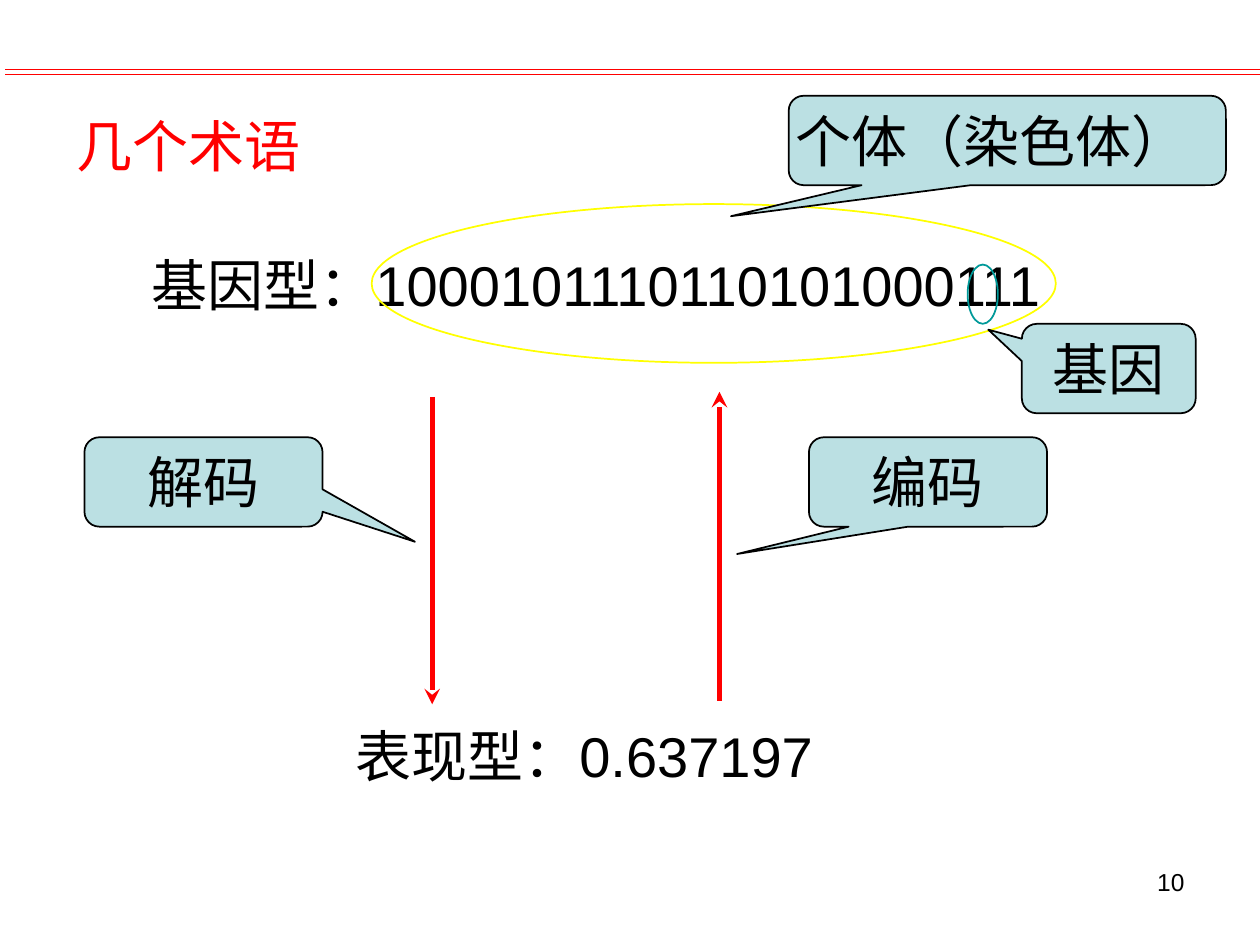
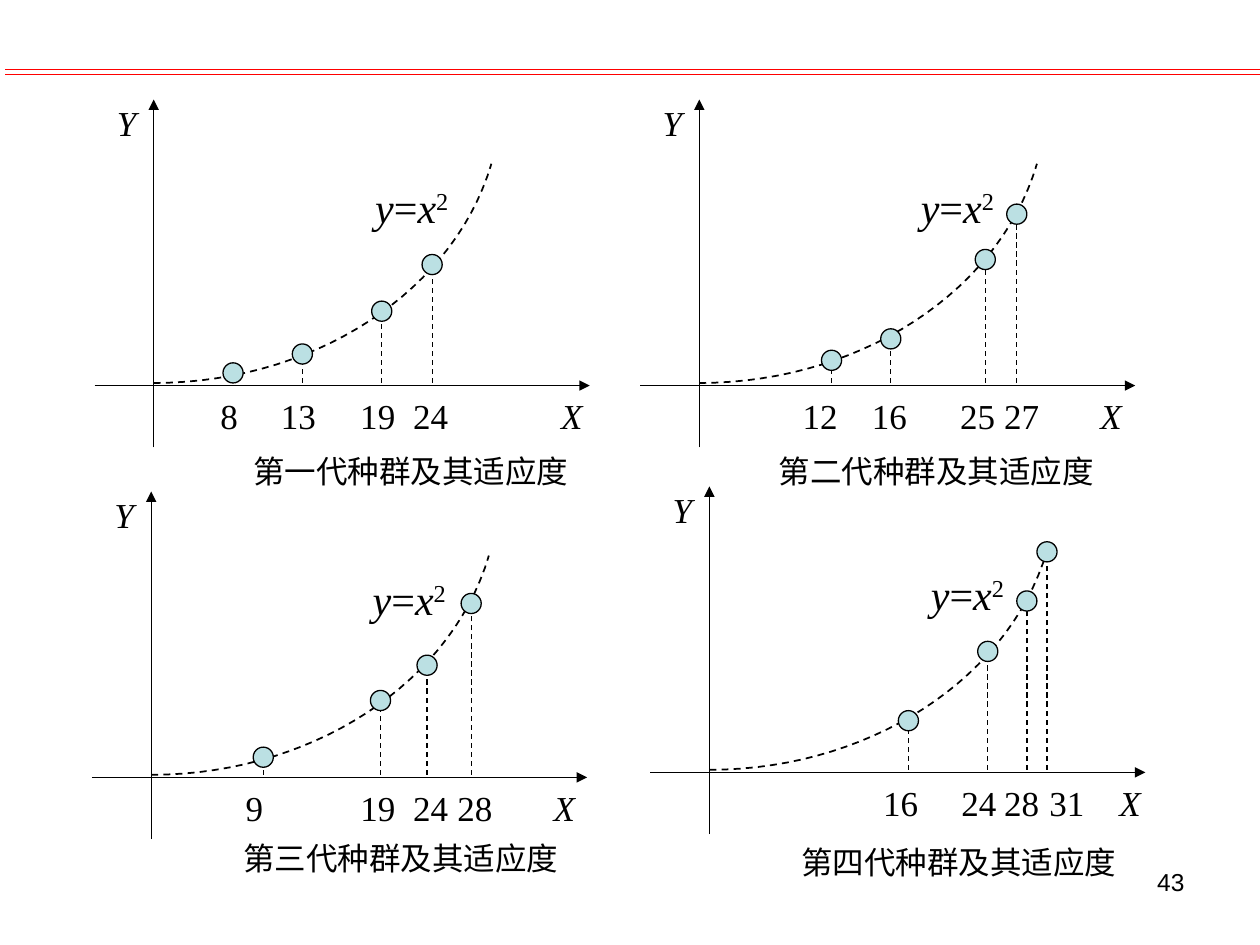
from lxml import etree
from pptx import Presentation
from pptx.dml.color import RGBColor
from pptx.enum.dml import MSO_LINE
from pptx.enum.shapes import MSO_CONNECTOR, MSO_SHAPE
from pptx.enum.text import MSO_ANCHOR, MSO_AUTO_SIZE, PP_ALIGN
from pptx.oxml.ns import qn
from pptx.util import Inches, Pt

STRAIGHT = MSO_CONNECTOR.STRAIGHT
OVAL, CALLOUT = MSO_SHAPE.OVAL, MSO_SHAPE.ROUNDED_RECTANGULAR_CALLOUT
LEFT, CENTER, RIGHT = PP_ALIGN.LEFT, PP_ALIGN.CENTER, PP_ALIGN.RIGHT
TOP, MIDDLE = MSO_ANCHOR.TOP, MSO_ANCHOR.MIDDLE
DASH = MSO_LINE.DASH

# Shared look
RED, BLACK, PALE, YELLOW, TEAL = "FF0000", "000000", "BBE0E3", "FFFF00", "009999"
SANS, SERIF, HAN = "Arial", "Times New Roman", "Noto Sans CJK SC"

# The slide is a grid of 100 columns by 75 square rows
WIDTH, HEIGHT = Inches(10), Inches(7.5)
CELL = WIDTH // 100


def grid(*cells):
    return [round(cell * CELL) for cell in cells]


def ink(value):
    return RGBColor.from_string(value)


def add_span(para, text, size, font=SANS, color=BLACK, italic=False, raised=False):
    span = para.add_run()
    span.text = text
    span.font.size = Pt(size)
    span.font.name = font
    span.font.italic = italic
    span.font.color.rgb = ink(color)
    props = span._r.get_or_add_rPr()
    etree.SubElement(props, qn("a:ea")).set("typeface", HAN)
    if raised:
        props.set("baseline", "30000")


def open_frame(shape, align=LEFT, anchor=TOP, insets=(1, 0.5)):
    """Prepare the text frame and return its first paragraph."""
    frame = shape.text_frame
    frame.word_wrap = True
    frame.auto_size = MSO_AUTO_SIZE.NONE
    frame.vertical_anchor = anchor
    side, edge = grid(*insets)
    frame.margin_left = frame.margin_right = side
    frame.margin_top = frame.margin_bottom = edge
    para = frame.paragraphs[0]
    para.alignment = align
    return para


def add_label(canvas, box, text, size, align=LEFT, insets=(1, 0.5), **style):
    label = canvas.add_textbox(*grid(*box))
    add_span(open_frame(label, align, insets=insets), text, size, **style)


def add_line(canvas, start, end, color=BLACK, weight=0.75, dash=None, arrow=None):
    line = canvas.add_connector(STRAIGHT, *grid(*start, *end))
    line.line.color.rgb = ink(color)
    line.line.width = Pt(weight)
    if dash:
        line.line.dash_style = dash
    props = line.element.spPr
    if arrow:
        etree.SubElement(props.find(qn("a:ln")), qn("a:tailEnd")).set("type", arrow)
    etree.SubElement(props, qn("a:effectLst"))
    return line


def outline(shape, color=BLACK, weight=1, fill=None):
    shape.shadow.inherit = False
    if fill:
        shape.fill.solid()
        shape.fill.fore_color.rgb = ink(fill)
    else:
        shape.fill.background()
    shape.line.color.rgb = ink(color)
    shape.line.width = Pt(weight)


def add_oval(canvas, box, **style):
    outline(canvas.add_shape(OVAL, *grid(*box)), **style)


def add_callout(page, box, pointer, text, align=CENTER, insets=(1, 0.5)):
    bubble = page.shapes.add_shape(CALLOUT, *grid(*box))
    for index, value in enumerate((*pointer, 0.167)):
        bubble.adjustments[index] = value
    outline(bubble, fill=PALE)
    add_span(open_frame(bubble, align, insets=insets), text, 32, SERIF)


def move(shape, box):
    shape.left, shape.top, shape.width, shape.height = grid(*box)


# Double red rule, kept on the slide master
def add_master_rule(deck, page):
    for number, row in enumerate((5.5, 5.9)):
        rule = add_line(page.shapes, (0.4, row), (100.4, row), RED)
        rule.element.nvCxnSpPr.cNvPr.set("id", str(100 + number))
        deck.slide_master.shapes.element.append(rule.element)


def add_page_number(page, number):
    add_label(page.shapes, (71.7, 68.3, 23.3, 5.2), number, 14, RIGHT)


# Terms: genotype, phenotype and the steps between them
def fill_terms_page(page):
    title, body = page.shapes.title, page.placeholders[1]
    move(title, (5.1, 7.6, 82.8, 7.9))
    add_span(open_frame(title, anchor=MIDDLE), "几个术语", 32, HAN, RED)

    move(body, (11, 19.4, 74, 10.3))
    genotype = open_frame(body)
    etree.SubElement(genotype._p.get_or_add_pPr(), qn("a:buNone"))
    add_span(genotype, "基因型：1000101110110101000111", 32)
    add_label(page.shapes, (27.2, 56.8, 41.7, 9.5), "表现型：0.637197", 32)

    # Decoding and encoding arrows
    for column, start, end in ((34.3, 31.5, 55.9), (57.1, 55.6, 31.1)):
        add_line(page.shapes, (column, start), (column, end), RED, 3, arrow="stealth")
    add_callout(page, (80.84 - 0.04 - 16.6, 34.7, 18.9, 7.1), (-0.802, 0.806), "编码")
    add_callout(page, (6.7, 34.7, 18.9, 7.1), (0.888, 0.669), "解码")

    # Chromosome and gene marks
    add_oval(page.shapes, (29.5, 16.2, 54.3, 12.6), color=YELLOW)
    add_callout(page, (62.6, 7.6, 34.7, 7.1), (-0.632, 0.847),
                "个体（染色体）", LEFT, (0.2, 0.5))
    add_oval(page.shapes, (76.8, 21, 2.4, 4.7), color=TEAL)
    add_callout(page, (81.1, 25.7, 13.8, 7.1), (-0.693, -0.434), "基因")


# Plot parts, in cells from the plot's top left corner
AXIS_X, AXIS_Y = 4.7, 22.7
PLOT_WIDTH, PLOT_HEIGHT = 39.3, 27.6
BASE = 22.5
CURVE = ((AXIS_X, BASE), (17.4, BASE), (28.5, 15.3), (31.5, 5.1))
CURVE_STEPS = 30
DOT = 1.6

# Each plot: corner, caption and its corner, tick box (left, width),
# points (value, dot column, dot row, label column), column of the X
GENERATIONS = (
    ((7.5, 7.9), "第一代种群及其适应度", (12.6, 28), (6.3, 37),
     ((8, 11, 21.7, 10.7), (13, 16.5, 20.2, 16.2),
      (19, 22.8, 16.8, 22.5), (24, 26.8, 13.1, 26.7)), 37.9),
    ((50.8, 7.9), "第二代种群及其适应度", (11, 28), (7.1, 36.2),
     ((12, 15.2, 20.7, 14.3), (16, 19.9, 19, 19.8),
      (25, 27.4, 12.7, 26.8), (27, 29.9, 9.1, 30.3)), 37.4),
    ((7.3, 39), "第三代种群及其适应度", (12, 27.6), (6.5, 33.9),
     ((9, 13.6, 21.1, 12.9), (19, 22.9, 16.6, 22.7),
      (24, 26.6, 13.8, 26.9), (28, 30.1, 8.9, 30.4)), 37.5),
    ((51.6, 38.6), "第四代种群及其适应度", (12, 28.3), (7.1, 34.3),
     ((16, 20.5, 18.6, 19.9), (24, 26.8, 13.1, 26.1),
      (28, 29.9, 9.1, 29.5), (31, 31.5, 5.2, 33.1)), 38.1),
)


def curve_point(share):
    """Point of the cubic Bezier curve at the given share of its run."""
    rest = 1 - share
    weights = (rest ** 3, 3 * rest ** 2 * share, 3 * rest * share ** 2, share ** 3)
    return [sum(w * p[axis] for w, p in zip(weights, CURVE)) for axis in (0, 1)]


def add_tick_labels(canvas, box, values, stops):
    """One line of labels, each centred on its own tab stop."""
    ticks = canvas.add_textbox(*grid(*box))
    para = open_frame(ticks)
    tabs = etree.SubElement(para._p.get_or_add_pPr(), qn("a:tabLst"))
    for stop in grid(*stops):
        etree.SubElement(tabs, qn("a:tab"), pos=str(stop), algn="ctr")
    for value in values:
        add_span(para, f"\t{value}", 20, SERIF)
    add_span(para, "\tX", 20, SERIF, italic=True)


def add_plot(page, corner, caption, caption_corner, tick_span, points, x_column):
    canvas = page.shapes.add_group_shape().shapes

    def at(column, row):
        return corner[0] + column, corner[1] + row

    # Drop lines, for dots that stand clear of the base
    for _, column, row, _ in points:
        if row + DOT / 2 < BASE:
            add_line(canvas, at(column, BASE), at(column, row), dash=DASH)

    # Axes and their names
    add_line(canvas, at(0, AXIS_Y), at(PLOT_WIDTH, AXIS_Y), arrow="triangle")
    add_line(canvas, at(AXIS_X, PLOT_HEIGHT), at(AXIS_X, 0), arrow="triangle")
    add_label(canvas, (*at(0.8, -0.3), 3.1, 4.3), "Y", 20, font=SERIF, italic=True)
    left, width = tick_span
    stops = [point[3] - left - 1 for point in points] + [x_column - left - 1]
    add_tick_labels(canvas, (*at(left, 22.9), width, 4.3),
                    [point[0] for point in points], stops)

    # Formula
    formula = open_frame(canvas.add_textbox(*grid(*at(21.3, 6), 8.7, 5)))
    for text, italic, raised in (("y", True, False), ("=", False, False),
                                 ("x", True, False), ("2", False, True)):
        add_span(formula, text, 24, SERIF, italic=italic, raised=raised)

    # Curve and dots
    track = [grid(*at(*curve_point(step / CURVE_STEPS)))
             for step in range(CURVE_STEPS + 1)]
    builder = canvas.build_freeform(*track[0])
    builder.add_line_segments(track[1:], close=False)
    curve = builder.convert_to_shape()
    outline(curve)
    curve.line.dash_style = DASH
    for _, column, row, _ in points:
        add_oval(canvas, (*at(column - DOT / 2, row - DOT / 2), DOT, DOT),
                 weight=0.75, fill=PALE)

    add_label(canvas, (*at(*caption_corner), 26.8, 3), caption, 18, insets=(0, 0))


def main():
    deck = Presentation()
    deck.slide_width, deck.slide_height = WIDTH, HEIGHT

    terms = deck.slides.add_slide(deck.slide_layouts[1])
    add_master_rule(deck, terms)
    add_page_number(terms, "10")
    fill_terms_page(terms)

    plots = deck.slides.add_slide(deck.slide_layouts[6])
    add_page_number(plots, "43")
    for generation in GENERATIONS:
        add_plot(plots, *generation)

    deck.save("out.pptx")


if __name__ == "__main__":
    main()
